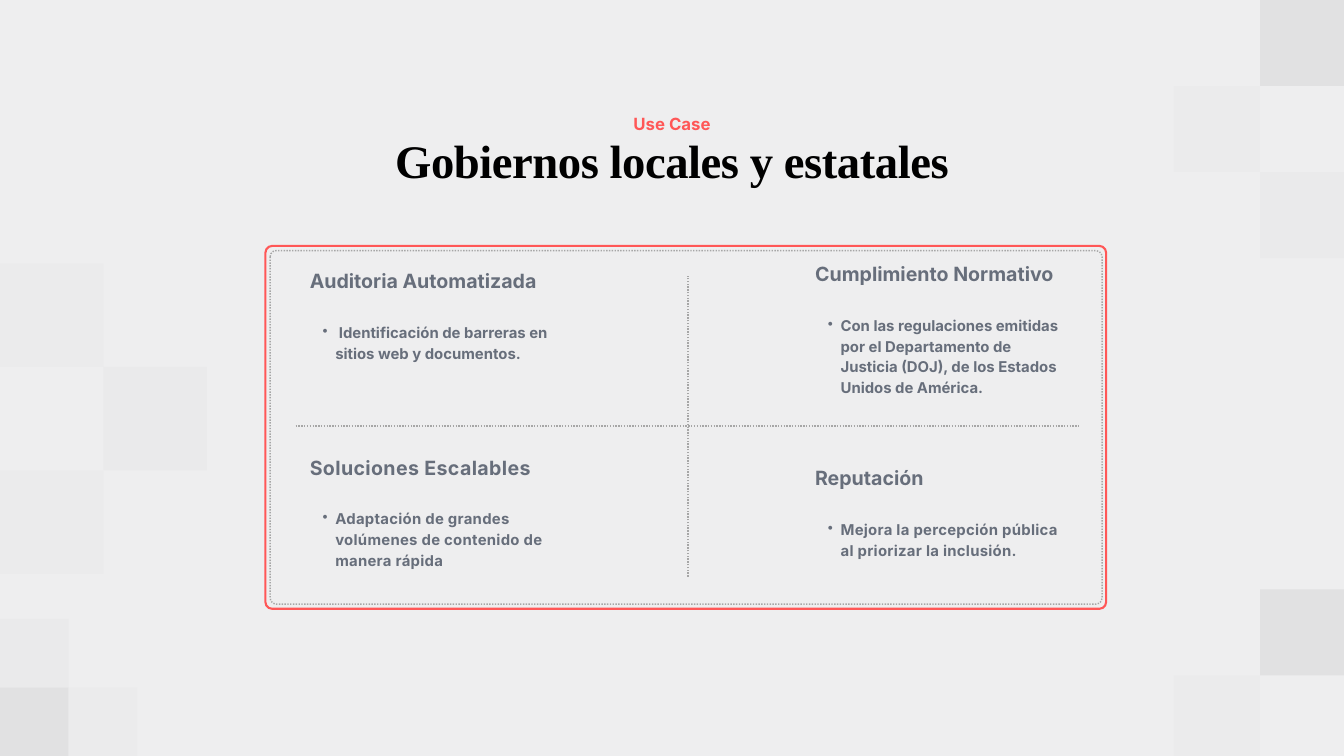
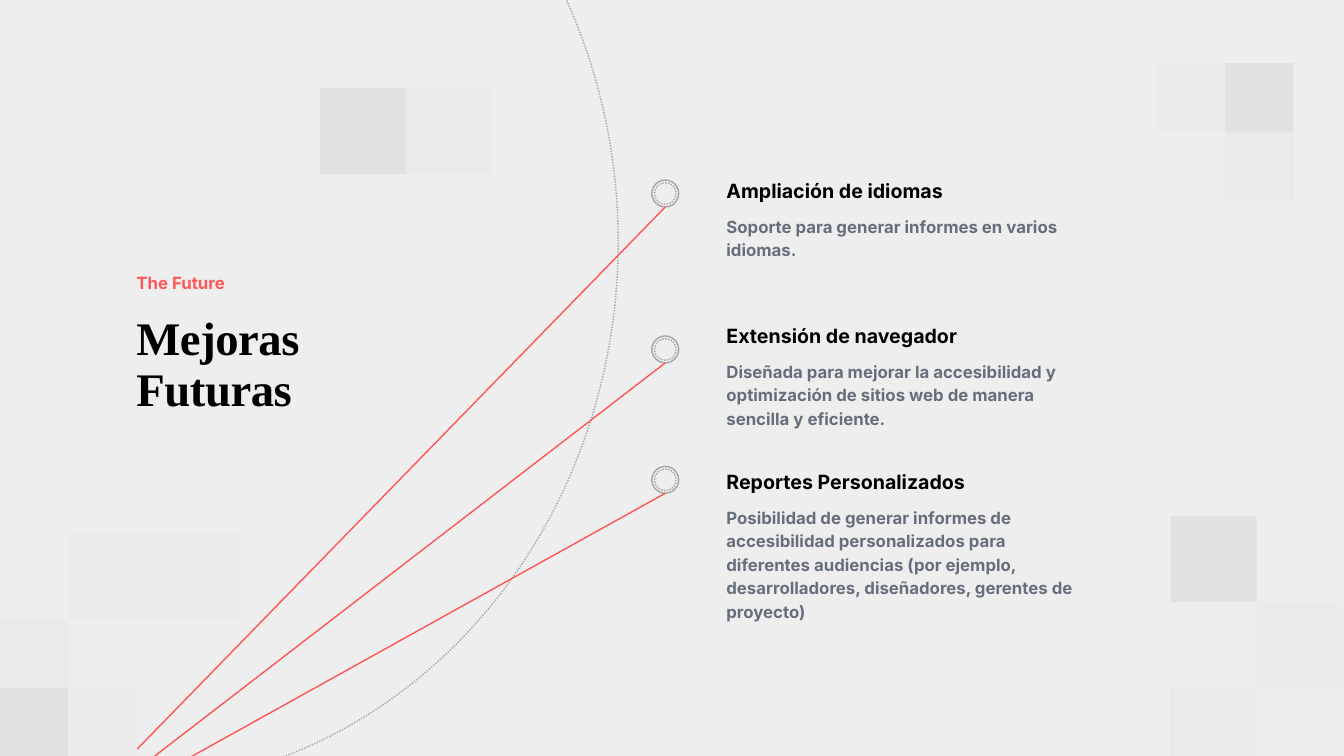
from dataclasses import dataclass

from lxml import etree
from pptx import Presentation
from pptx import util as u
from pptx.dml.color import RGBColor
from pptx.enum import dml, shapes, text
from pptx.oxml.ns import qn

EMU_PER_PX = 9144  # 100 px to the inch


def px(length):
    return u.Emu(length * EMU_PER_PX)


@dataclass(frozen=True)
class Style:
    """Type style; spacing is the letter spacing in points."""
    font: str
    size: int
    color: str
    leading: float
    spacing: float = 0


@dataclass(frozen=True)
class Theme:
    paper: str = "EEEEEF"
    accent: str = "FF5757"
    rule: str = "A6A6A6"
    dark: str = "E1E1E2"
    mid: str = "EAEAEB"
    light: str = "EBEBEC"
    title: Style = Style("Times New Roman", 50, "000000", 55, -0.5)
    eyebrow: Style = Style("Inter", 18, "FF5757", 19.8)
    heading: Style = Style("Inter", 21, "000000", 29.4)
    body: Style = Style("Inter", 18, "676E7B", 25.2)
    cell_heading: Style = Style("Inter", 21, "676E7B", 29.4)
    cell_bullet: Style = Style("Inter", 16, "676E7B", 22.4)


THEME = Theme()
LEFT, CENTER = text.PP_ALIGN.LEFT, text.PP_ALIGN.CENTER
OVAL = shapes.MSO_SHAPE.OVAL
ROUNDED = shapes.MSO_SHAPE.ROUNDED_RECTANGLE
CELL_INSET = 21


class Deck:
    def __init__(self, theme):
        self.theme = theme
        self.presentation = Presentation()
        self.presentation.slide_width = px(2000)
        self.presentation.slide_height = px(1125)
        background = self.presentation.slide_master.background.fill
        background.solid()
        background.fore_color.rgb = RGBColor.from_string(theme.paper)
        self.slide = None

    def add_slide(self):
        layout = self.presentation.slide_layouts.get_by_name("Title Only")
        self.slide = self.presentation.slides.add_slide(layout)

    def add_run(self, paragraph, words, style, spacing=None):
        paragraph.line_spacing = u.Pt(style.leading)
        run = paragraph.add_run()
        run.text = words
        font = run.font
        font.name, font.size, font.bold = style.font, u.Pt(style.size), True
        font.color.rgb = RGBColor.from_string(style.color)
        spacing = style.spacing if spacing is None else spacing
        if spacing:
            run._r.get_or_add_rPr().set("spc", str(round(spacing * 100)))

    def fill_frame(self, shape, words, style, align):
        frame = shape.text_frame
        frame.word_wrap = True
        frame.auto_size = text.MSO_AUTO_SIZE.SHAPE_TO_FIT_TEXT
        frame.vertical_anchor = text.MSO_ANCHOR.TOP
        frame.margin_left = frame.margin_right = 0
        frame.margin_top = frame.margin_bottom = 0
        paragraph = frame.paragraphs[0]
        paragraph.alignment = align
        self.add_run(paragraph, words, style)

    def title(self, words, box, align=LEFT):
        shape = self.slide.shapes.title
        shape.left, shape.top, shape.width, shape.height = map(px, box)
        self.fill_frame(shape, words, self.theme.title, align)

    def text(self, words, box, style, align=LEFT):
        shape = self.slide.shapes.add_textbox(*map(px, box))
        self.fill_frame(shape, words, style, align)

    def set_line(self, line, color, width, dotted):
        line.color.rgb = RGBColor.from_string(color)
        line.width = u.Pt(width)
        if dotted:
            line.dash_style = dml.MSO_LINE.ROUND_DOT

    def shape(self, kind, box, fill=None, line=None, width=1.5, dotted=False, radius=None):
        shape = self.slide.shapes.add_shape(kind, *map(px, box))
        shape.shadow.inherit = False
        if fill:
            shape.fill.solid()
            shape.fill.fore_color.rgb = RGBColor.from_string(fill)
        else:
            shape.fill.background()
        if line:
            self.set_line(shape.line, line, width, dotted)
        else:
            shape.line.fill.background()
        if radius:
            shape.adjustments[0] = radius / min(box[2:])

    def line(self, start, end, color, dotted=False):
        connector = self.slide.shapes.add_connector(
            shapes.MSO_CONNECTOR.STRAIGHT, *map(px, start + end))
        self.set_line(connector.line, color, 1.5, dotted)
        etree.SubElement(connector._element.spPr, qn("a:effectLst"))

    def tiles(self, left, top, size, tiles):
        """Draw square tiles, each given as (column, row, colour)."""
        for column, row, color in tiles:
            box = (left + column * size, top + row * size, size, size)
            self.shape(shapes.MSO_SHAPE.RECTANGLE, box, fill=color)

    def corner_tiles(self):
        theme = self.theme
        self.tiles(0, 921, 102, [(0, 1, theme.dark), (1, 1, theme.light), (0, 0, theme.mid)])

    def dot(self, center_x, center_y):
        for radius, dotted in ((20, False), (16, True)):
            box = (center_x - radius, center_y - radius, 2 * radius, 2 * radius)
            self.shape(OVAL, box, self.theme.paper, self.theme.rule, dotted=dotted)

    def table(self, left, top, widths, heights):
        """Add a table without fills or borders."""
        box = (left, top, sum(widths), sum(heights))
        table = self.slide.shapes.add_table(len(heights), len(widths), *map(px, box)).table
        table.first_row = table.horz_banding = False
        for column, width in zip(table.columns, widths):
            column.width = px(width)
        for row, height in zip(table.rows, heights):
            row.height = px(height)
        for cell in table.iter_cells():
            properties = cell._tc.get_or_add_tcPr()
            for side in ("a:lnL", "a:lnR", "a:lnT", "a:lnB"):
                border = etree.SubElement(properties, qn(side), w="0")
                etree.SubElement(border, qn("a:noFill"))
            cell.fill.background()
            cell.vertical_anchor = text.MSO_ANCHOR.MIDDLE
            cell.margin_left = cell.margin_right = px(CELL_INSET)
            cell.margin_top = cell.margin_bottom = px(CELL_INSET)
        return table

    def benefit(self, cell, heading, detail, heading_spacing=0, detail_spacing=0):
        """Write a heading and one bullet into a table cell."""
        frame = cell.text_frame
        self.add_run(frame.paragraphs[0], heading, self.theme.cell_heading, heading_spacing)
        paragraph = frame.add_paragraph()
        paragraph.level = 1
        properties = paragraph._p.get_or_add_pPr()
        properties.set("marL", str(px(38)))
        properties.set("indent", str(px(-19)))
        etree.SubElement(properties, qn("a:buChar"), char="•")
        paragraph.space_before = u.Pt(self.theme.cell_heading.leading)
        self.add_run(paragraph, detail, self.theme.cell_bullet, detail_spacing)


def build_use_case(deck):
    theme = deck.theme
    deck.add_slide()
    deck.title("Gobiernos locales y estatales", (254, 203, 1492, 78), CENTER)
    deck.text("Use Case", (301, 171, 1398, 28), theme.eyebrow, CENTER)
    deck.shape(ROUNDED, (395, 366, 1251, 540), line=theme.accent, width=2.25, radius=10)
    deck.shape(ROUNDED, (402, 373, 1238, 526), theme.paper, theme.rule, dotted=True, radius=9)

    table = deck.table(440, 320, (439, 313, 415), (296, 290))
    deck.benefit(table.cell(0, 0), "Auditoria Automatizada",
                 " Identificación de barreras en sitios web y documentos.")
    deck.benefit(table.cell(0, 2), "Cumplimiento Normativo",
                 "Con las regulaciones emitidas por el Departamento de Justicia (DOJ), "
                 "de los Estados Unidos de América.")
    deck.benefit(table.cell(1, 0), "Soluciones Escalables",
                 "Adaptación de grandes volúmenes de contenido de manera rápida", 0.4, 0.3)
    deck.benefit(table.cell(1, 2), "Reputación",
                 "Mejora la percepción pública al priorizar la inclusión.", 0, 0.3)
    table.cell(0, 2).margin_top = px(CELL_INSET) + u.Pt(theme.cell_heading.leading)

    deck.line((440, 634), (1607, 634), theme.rule, dotted=True)
    deck.line((1024, 858), (1024, 410), theme.rule, dotted=True)

    deck.corner_tiles()
    deck.tiles(0, 392, 154, [(0, 0, theme.light), (1, 1, theme.mid), (0, 2, theme.light)])
    deck.tiles(1747, 877, 128, [(1, 0, theme.dark), (0, 1, theme.light)])
    deck.tiles(1747, 0, 128, [(1, 0, theme.dark), (1, 2, theme.mid), (0, 1, theme.light)])


def build_future(deck):
    theme = deck.theme
    deck.add_slide()
    deck.title("Mejoras Futuras", (203, 466, 337, 154))
    deck.text("The Future", (203, 409, 528, 28), theme.eyebrow)
    deck.shape(OVAL, (-563, -451, 1483, 1622), line=theme.rule, dotted=True)

    improvements = [
        (288, 260, "Ampliación de idiomas", 2,
         "Soporte para generar informes en varios idiomas."),
        (520, 476, "Extensión de navegador", 3,
         "Diseñada para mejorar la accesibilidad y optimización de sitios web "
         "de manera sencilla y eficiente."),
        (714, 693, "Reportes Personalizados", 5,
         "Posibilidad de generar informes de accesibilidad personalizados para "
         "diferentes audiencias (por ejemplo, desarrolladores, diseñadores, "
         "gerentes de proyecto)"),
    ]
    for dot_y, top, heading, line_count, detail in improvements:
        deck.dot(990, dot_y)
        deck.line((990, dot_y + 20), (85, 1237), theme.accent)
        deck.text(heading, (1081, top, 661, 40), theme.heading)
        deck.text(detail, (1081, top + 57, 516, 34 * line_count), theme.body)

    deck.corner_tiles()
    deck.tiles(1721, 94, 102, [(1, 0, theme.dark), (0, 0, theme.light), (1, 1, theme.mid)])
    deck.tiles(1742, 768, 128, [(0, 0, theme.dark), (1, 1, theme.light), (0, 2, theme.mid)])
    deck.tiles(476, 131, 128, [(0, 0, theme.dark), (1, 0, theme.mid)])
    deck.tiles(102, 793, 128, [(0, 0, theme.light), (1, 0, theme.light)])


def main():
    deck = Deck(THEME)
    build_use_case(deck)
    build_future(deck)
    deck.presentation.save("out.pptx")


if __name__ == "__main__":
    main()
